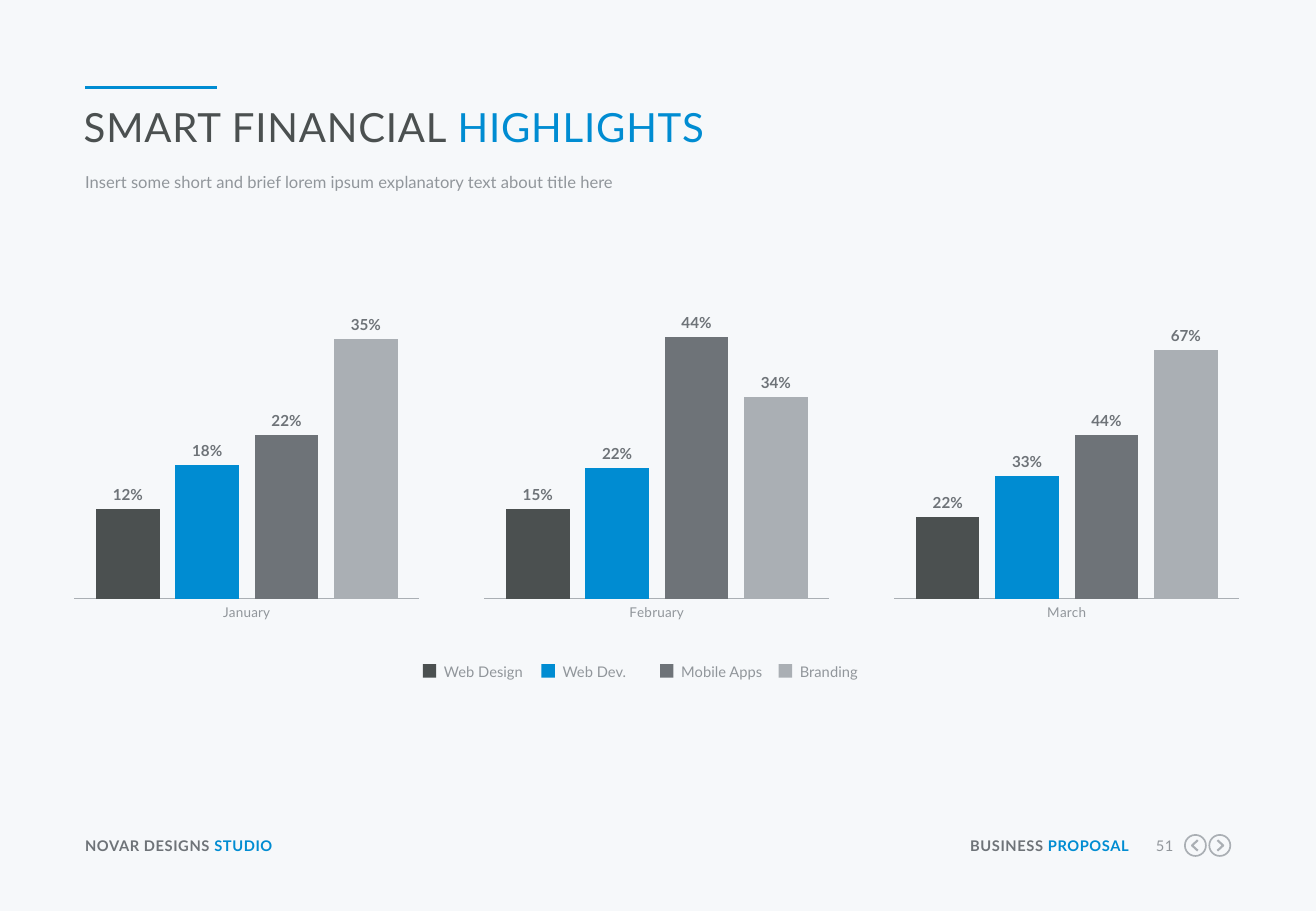
from dataclasses import dataclass
from lxml.etree import SubElement
from pptx import Presentation
from pptx.chart.data import CategoryChartData
from pptx.dml.color import RGBColor
from pptx.enum.chart import XL_CHART_TYPE, XL_LABEL_POSITION, XL_TICK_MARK
from pptx.enum.shapes import MSO_CONNECTOR, MSO_SHAPE
from pptx.enum.text import MSO_ANCHOR, PP_ALIGN
from pptx.oxml.ns import qn
from pptx.util import Cm, Pt


@dataclass(frozen=True)
class Theme:
    face: str = "Lato"
    back: RGBColor = RGBColor(0xF6, 0xF8, 0xFA)
    dark: RGBColor = RGBColor(0x4B, 0x50, 0x50)
    blue: RGBColor = RGBColor(0x00, 0x8C, 0xD2)
    slate: RGBColor = RGBColor(0x6E, 0x73, 0x78)
    pale: RGBColor = RGBColor(0xAA, 0xAF, 0xB4)
    text: RGBColor = RGBColor(0x91, 0x96, 0x9B)
    head: Pt = Pt(23.8)
    sub: Pt = Pt(9.8)
    small: Pt = Pt(8.7)
    label: Pt = Pt(9)
    axis: Pt = Pt(8)


theme = Theme()


def style(font, size, color, bold=False):
    font.name = theme.face
    font.size = size
    font.bold = bold
    font.color.rgb = color


def write(box, runs, size, bold=False, gap=0, align=PP_ALIGN.LEFT):
    frame = box.text_frame
    frame.word_wrap = True
    frame.vertical_anchor = MSO_ANCHOR.TOP
    frame.margin_left = frame.margin_right = 0
    frame.margin_top = frame.margin_bottom = 0
    para = frame.paragraphs[0]
    para.alignment = align
    para.space_before = Pt(0)
    for words, color in runs:
        run = para.add_run()
        run.text = words
        style(run.font, size, color, bold)
        run._r.get_or_add_rPr().set("spc", str(gap))
    return para


deck = Presentation()
deck.slide_width, deck.slide_height = Cm(27.51), Cm(19.05)
slide = deck.slides.add_slide(deck.slide_layouts[5])
slide.background.fill.solid()
slide.background.fill.fore_color.rgb = theme.back
shapes = slide.shapes

rule = shapes.add_connector(MSO_CONNECTOR.STRAIGHT, Cm(1.78), Cm(1.83), Cm(4.54), Cm(1.83))
rule.line.color.rgb = theme.blue
rule.line.width = Pt(2.25)
SubElement(rule._element.spPr, qn("a:effectLst"))

title = shapes.title
title.left, title.top, title.width, title.height = Cm(1.75), Cm(2.13), Cm(23.93), Cm(1.04)
write(title, [("SMART FINANCIAL ", theme.dark), ("HIGHLIGHTS", theme.blue)], theme.head, gap=50)

intro = shapes.add_textbox(Cm(1.78), Cm(3.56), Cm(23.93), Cm(0.53))
line = "Insert some short and brief lorem ipsum explanatory text about title here"
write(intro, [(line, theme.text)], theme.sub).line_spacing = Pt(13)

tones = [theme.dark, theme.blue, theme.slate, theme.pale]
months = [
    ("January", [0.12, 0.18, 0.22, 0.35], 0.4),
    ("February", [0.15, 0.22, 0.44, 0.34], 0.5),
    ("March", [0.22, 0.33, 0.44, 0.67], 0.8),
]
for col, (month, shares, top) in enumerate(months):
    data = CategoryChartData(number_format="0%")
    data.categories = [month]
    for num, share in enumerate(shares, 1):
        data.add_series(f"Series {num}", [share])
    chart = shapes.add_chart(
        XL_CHART_TYPE.COLUMN_CLUSTERED,
        Cm(1.4 + 8.57 * col), Cm(6.17), Cm(7.52), Cm(6.93), data,
    ).chart
    style(chart.font, theme.axis, theme.text)
    chart.has_title = False
    chart.has_legend = False
    values = chart.value_axis
    values.minimum_scale, values.maximum_scale = 0, top
    values.has_major_gridlines = False
    values.visible = False
    base = chart.category_axis
    base.major_tick_mark = XL_TICK_MARK.NONE
    base.format.line.color.rgb = theme.pale
    base.format.line.width = Pt(0.75)
    style(base.tick_labels.font, theme.axis, theme.text)
    plot = chart.plots[0]
    plot.vary_by_categories = False
    plot.gap_width, plot.overlap = 69, -25
    for bar, tone in zip(plot.series, tones):
        bar.format.fill.solid()
        bar.format.fill.fore_color.rgb = tone
        tags = bar.data_labels
        tags.show_value = True
        tags.number_format = "0%"
        tags.number_format_is_linked = False
        tags.position = XL_LABEL_POSITION.OUTSIDE_END
        style(tags.font, theme.label, theme.slate, True)

names = ["Web Design", "Web Dev.", "Mobile Apps", "Branding"]
for col, (name, tone) in enumerate(zip(names, tones)):
    key = shapes.add_shape(
        MSO_SHAPE.RECTANGLE, Cm(8.84 + 2.48 * col), Cm(13.89), Cm(0.28), Cm(0.28))
    key.shadow.inherit = False
    key.fill.solid()
    key.fill.fore_color.rgb = tone
    key.line.fill.background()
    box = shapes.add_textbox(Cm(9.28 + 2.48 * col), Cm(13.87), Cm(1.98), Cm(0.38))
    write(box, [(name, theme.text)], theme.small)

footer = [
    (1.78, 5.36, [("NOVAR DESIGNS ", theme.slate), ("STUDIO", theme.blue)], True, PP_ALIGN.LEFT),
    (20.12, 3.48, [("BUSINESS ", theme.slate), ("PROPOSAL", theme.blue)], True, PP_ALIGN.RIGHT),
    (23.9, 0.63, [("51", theme.text)], False, PP_ALIGN.RIGHT),
]
for left, width, runs, bold, align in footer:
    box = shapes.add_textbox(Cm(left), Cm(17.5), Cm(width), Cm(0.38))
    write(box, runs, theme.small, bold, 30, align)

for mid, way in [(24.99, -1), (25.5, 1)]:
    ring = shapes.add_shape(MSO_SHAPE.OVAL, Cm(mid - 0.22), Cm(17.46), Cm(0.44), Cm(0.44))
    back, tip = Cm(mid - 0.05 * way), Cm(mid + 0.07 * way)
    path = shapes.build_freeform(back, Cm(17.57))
    path.add_line_segments([(tip, Cm(17.68)), (back, Cm(17.79))], close=False)
    for mark, width in [(ring, 1), (path.convert_to_shape(), 1.25)]:
        mark.shadow.inherit = False
        mark.fill.background()
        mark.line.color.rgb = theme.pale
        mark.line.width = Pt(width)

deck.save("out.pptx")
